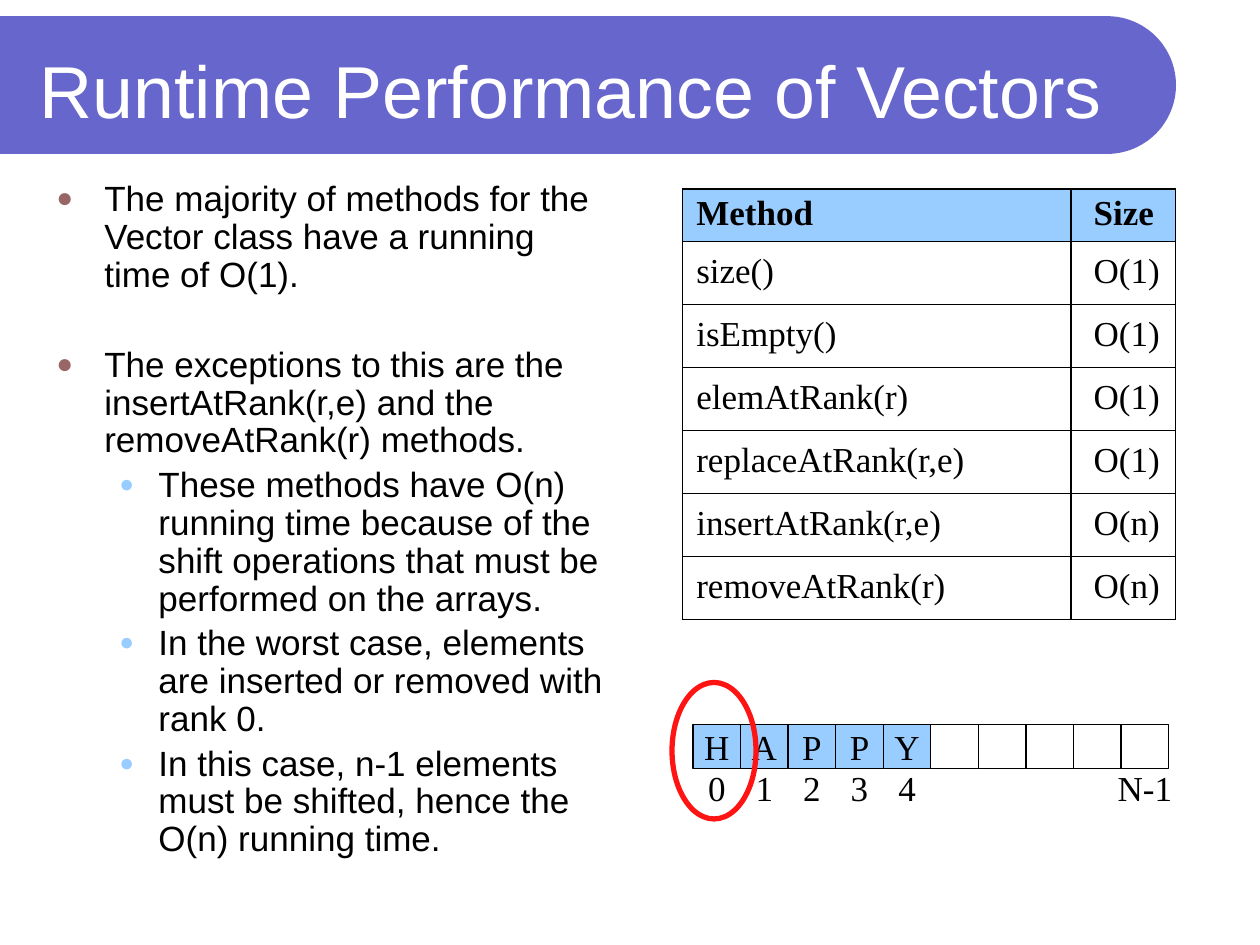
from math import cos, pi, sin

from lxml.etree import SubElement
from pptx import Presentation
from pptx.dml.color import RGBColor
from pptx.enum.shapes import MSO_SHAPE
from pptx.enum.text import MSO_ANCHOR, PP_ALIGN
from pptx.oxml import parse_xml
from pptx.oxml.ns import nsdecls, qn
from pptx.util import Inches, Pt

SANS, SERIF = "Arial", "Times New Roman"
BLACK, WHITE, SKY = "000000", "FFFFFF", "99CCFF"


def color(value):
    return RGBColor.from_string(value)


def add_text(paragraph, text, font, size=20, text_color=BLACK, bold=False):
    run = paragraph.add_run()
    run.text = text
    run.font.name, run.font.size, run.font.bold = font, Pt(size), bold
    run.font.color.rgb = color(text_color)


presentation = Presentation()
presentation.slide_width, presentation.slide_height = Inches(10), Inches(7.5)
slide = presentation.slides.add_slide(presentation.slide_layouts[6])
shapes = slide.shapes

# The slide is a grid of 120 columns by 90 rows of square units
unit = presentation.slide_width // 120

# Banner with a rounded right end
radius, center_x, center_y = 6.56, 105.44, 8.1
arc = [
    (center_x + radius * cos(angle), center_y + radius * sin(angle))
    for angle in (pi * (step / 48 - 0.5) for step in range(49))
]
builder = shapes.build_freeform(0, int((center_y - radius) * unit))
builder.add_line_segments(
    [(int(x * unit), int(y * unit)) for x, y in arc + [(0, center_y + radius)]]
)
banner = builder.convert_to_shape()
banner.shadow.inherit = False
banner.fill.solid()
banner.fill.fore_color.rgb = color("6666CC")
banner.line.fill.background()

# Title
title = shapes.add_textbox(int(2.6 * unit), int(2.5 * unit), int(105.2 * unit), 12 * unit)
title.text_frame.word_wrap = True
title.text_frame.vertical_anchor = MSO_ANCHOR.MIDDLE
add_text(title.text_frame.paragraphs[0], "Runtime Performance of Vectors", SANS, 42, WHITE)

# Bulleted text: level, space before in points, wording
bullets = [
    (0, 4, "The majority of methods for the Vector class have a running time of O(1)."),
    (0, 29.7, "The exceptions to this are the insertAtRank(r,e) and the "
              "removeAtRank(r) methods."),
    (1, 4, "These methods have O(n) running time because of the shift operations "
           "that must be performed on the arrays."),
    (1, 4, "In the worst case, elements are inserted or removed with rank 0."),
    (1, 4, "In this case, n-1 elements must be shifted, hence the O(n) running time."),
]
# Per level: left margin, hanging indent, bullet colour, bullet size
bullet_styles = [(0.38, -0.38, "996666", 80), (0.81, -0.31, SKY, 70)]
body = shapes.add_textbox(int(4.2 * unit), int(16.7 * unit), int(54.7 * unit), 69 * unit)
body.text_frame.word_wrap = True
for index, (level, space_before, text) in enumerate(bullets):
    paragraph = body.text_frame.add_paragraph() if index else body.text_frame.paragraphs[0]
    paragraph.level = level
    paragraph.line_spacing = 0.9
    paragraph.space_before = Pt(space_before)
    margin, indent, bullet_color, bullet_size = bullet_styles[level]
    properties = paragraph._p.get_or_add_pPr()
    properties.set("marL", str(Inches(margin)))
    properties.set("indent", str(Inches(indent)))
    SubElement(SubElement(properties, qn("a:buClr")), qn("a:srgbClr"), val=bullet_color)
    SubElement(properties, qn("a:buSzPct"), val=str(bullet_size * 1000))
    SubElement(properties, qn("a:buFont"), typeface=SANS)
    SubElement(properties, qn("a:buChar"), char="●")
    add_text(paragraph, text, SANS)

# Table of running times
rows = [
    ("Method", "Size"),
    ("size()", "O(1)"),
    ("isEmpty()", "O(1)"),
    ("elemAtRank(r)", "O(1)"),
    ("replaceAtRank(r,e)", "O(1)"),
    ("insertAtRank(r,e)", "O(n)"),
    ("removeAtRank(r)", "O(n)"),
]
table = shapes.add_table(len(rows), 2, 65 * unit, 18 * unit, 47 * unit, 41 * unit).table
table.first_row = table.horz_banding = False
table.columns[0].width, table.columns[1].width = 37 * unit, 10 * unit
for row_index, row in enumerate(rows):
    header = row_index == 0
    table.rows[row_index].height = (5 if header else 6) * unit
    for column_index, text in enumerate(row):
        cell = table.cell(row_index, column_index)
        cell.margin_left = Inches(0.18 if column_index else 0.11)
        cell.margin_right = cell.margin_top = 0
        cell.margin_bottom = Inches(0.03)
        cell.vertical_anchor = MSO_ANCHOR.MIDDLE
        cell.fill.solid()
        cell.fill.fore_color.rgb = color(SKY if header else WHITE)
        add_text(cell.text_frame.paragraphs[0], text, SERIF, bold=header)
        for position, side in enumerate(("lnL", "lnR", "lnT", "lnB")):
            border = parse_xml(
                f'<a:{side} {nsdecls("a")} w="{Pt(0.75)}"><a:solidFill>'
                f'<a:srgbClr val="{BLACK}"/></a:solidFill></a:{side}>'
            )
            cell._tc.get_or_add_tcPr().insert(position, border)

# Array of ten cells with ranks below; rank boxes reach past the cell on both sides
letters = "HAPPY"
ranks = ["0", "1", "2", "3", "4", "", "", "", "", "N-1"]
cell_width, cell_height, overhang = 4.53, 4.2, 2
for index, rank in enumerate(ranks):
    left = 66 + index * cell_width
    letter = letters[index:index + 1]
    box = shapes.add_shape(
        MSO_SHAPE.RECTANGLE,
        int(left * unit), 69 * unit, int(cell_width * unit), int(cell_height * unit),
    )
    box.shadow.inherit = False
    box.fill.solid()
    box.fill.fore_color.rgb = color(SKY if letter else WHITE)
    box.line.color.rgb = color(BLACK)
    box.line.width = Pt(0.75)
    labels = [(box, letter)] if letter else []
    if rank:
        rank_box = shapes.add_textbox(
            int((left - overhang) * unit), int(73.1 * unit),
            int((cell_width + 2 * overhang) * unit), int(3.8 * unit),
        )
        labels.append((rank_box, rank))
    for shape, text in labels:
        frame = shape.text_frame
        frame.word_wrap = True
        frame.margin_left = frame.margin_right = frame.margin_top = frame.margin_bottom = 0
        frame.vertical_anchor = MSO_ANCHOR.MIDDLE
        frame.paragraphs[0].alignment = PP_ALIGN.CENTER
        add_text(frame.paragraphs[0], text, SERIF)

# Ring around rank 0
ring = shapes.add_shape(MSO_SHAPE.OVAL, 64 * unit, 65 * unit, 8 * unit, 13 * unit)
ring.shadow.inherit = False
ring.fill.background()
ring.line.color.rgb = color("FF1414")
ring.line.width = Pt(3)

presentation.save("out.pptx")
